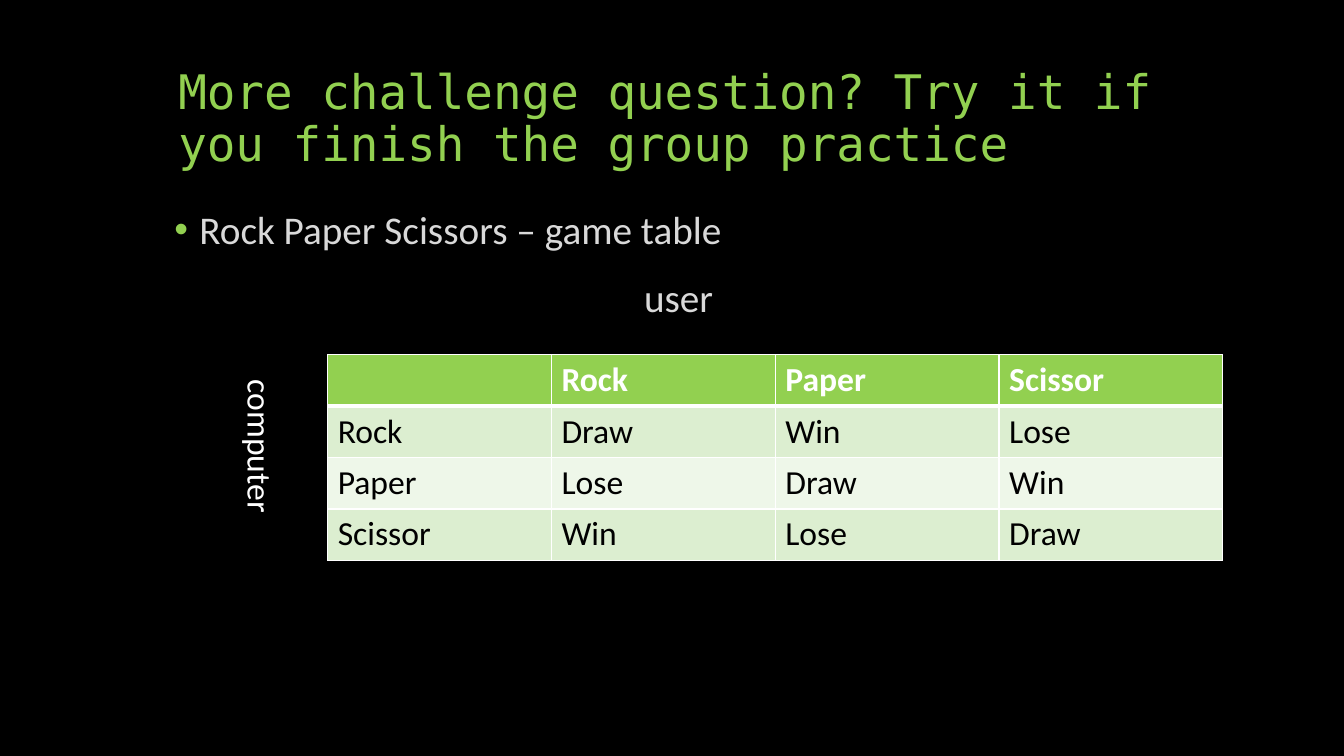
"""Build the Rock Paper Scissors game table slide."""
from lxml import etree
from pptx import Presentation
from pptx.dml.color import RGBColor
from pptx.enum.text import MSO_ANCHOR
from pptx.oxml.ns import qn
from pptx.util import Inches, Pt

BOTTOM, TOP = MSO_ANCHOR.BOTTOM, MSO_ANCHOR.TOP
THEME = {
    "background": "000000", "accent": "92D050", "body": "D9D9D9",
    "white": "FFFFFF", "black": "000000", "bands": ("DCEED0", "EEF7E9"),
    "mono": "DejaVu Sans Mono", "sans": "Calibri",
    "title_size": 34, "body_size": 28, "label_size": 24,
}


def write(p, text, color, size, font=THEME["sans"], bold=False, **spacing):
    r = p.add_run()
    r.text = text
    r.font.color.rgb = RGBColor.from_string(color)
    for name, value in {"size": Pt(size), "name": font, "bold": bold}.items():
        setattr(r.font, name, value)
    for name, value in spacing.items():
        setattr(p, name, value)


def add_box(left, top, width, height, anchor=TOP):
    tf = s.shapes.add_textbox(*map(Inches, (left, top, width, height))).text_frame
    for name, value in {"word_wrap": True, "vertical_anchor": anchor}.items():
        setattr(tf, name, value)
    return tf


prs = Presentation()
prs.slide_width, prs.slide_height = Inches(13.33), Inches(7.5)
s = prs.slides.add_slide(prs.slide_layouts[6])
s.background.fill.solid()
s.background.fill.fore_color.rgb = RGBColor.from_string(THEME["background"])

tf = add_box(1.67, 0.5, 10, 1.25, BOTTOM)
write(tf.paragraphs[0], "More challenge question? Try it if you finish the group practice",
      THEME["accent"], THEME["title_size"], THEME["mono"], line_spacing=0.9)

tf = add_box(1.63, 2.04, 10.25, 4.67)
bullet = tf.paragraphs[0]
write(bullet, "Rock Paper Scissors – game table", THEME["body"], THEME["body_size"],
      line_spacing=0.9)
pPr = bullet._p.get_or_add_pPr()
pPr.set("marL", str(Inches(0.25)))
pPr.set("indent", str(Inches(-0.25)))
buClr = etree.SubElement(pPr, qn("a:buClr"))
etree.SubElement(buClr, qn("a:srgbClr"), val=THEME["accent"])
etree.SubElement(pPr, qn("a:buFont"), typeface="Arial")
etree.SubElement(pPr, qn("a:buChar"), char="•")
user = tf.add_paragraph()
write(user, "user", THEME["body"], THEME["body_size"], line_spacing=0.9, space_before=Pt(18))
user._p.get_or_add_pPr().set("marL", str(Inches(4.66)))

moves = ["Rock", "Paper", "Scissor"]
results = ["Draw", "Win", "Lose"]
rows = [[""] + moves]
for i, move in enumerate(moves):
    rows.append([move] + [results[(j - i) % 3] for j in range(3)])

table = s.shapes.add_table(4, 4, *map(Inches, (3.25, 3.52, 8.88, 2.04))).table
for col in table.columns:
    col.width = Inches(2.22)
for i, row in enumerate(rows):
    table.rows[i].height = Inches(0.51)
    header = i == 0
    fill = THEME["accent"] if header else THEME["bands"][(i - 1) % 2]
    color = THEME["white"] if header else THEME["black"]
    widths = {"L": 1, "R": 1, "T": 3 if i == 1 else 1, "B": 3 if header else 1}
    for j, text in enumerate(row):
        cell = table.cell(i, j)
        tcPr = cell._tc.get_or_add_tcPr()
        for side, width in widths.items():
            ln = etree.SubElement(tcPr, qn(f"a:ln{side}"), w=str(Pt(width)))
            line_fill = etree.SubElement(ln, qn("a:solidFill"))
            etree.SubElement(line_fill, qn("a:srgbClr"), val=THEME["white"])
        cell.fill.solid()
        cell.fill.fore_color.rgb = RGBColor.from_string(fill)
        if text:
            write(cell.text_frame.paragraphs[0], text, color, THEME["label_size"], bold=header)

tf = add_box(2.23, 3.67, 0.61, 1.92)
tf._txBody.bodyPr.set("vert", "eaVert")
write(tf.paragraphs[0], "computer", THEME["white"], THEME["label_size"])

prs.save("out.pptx")
